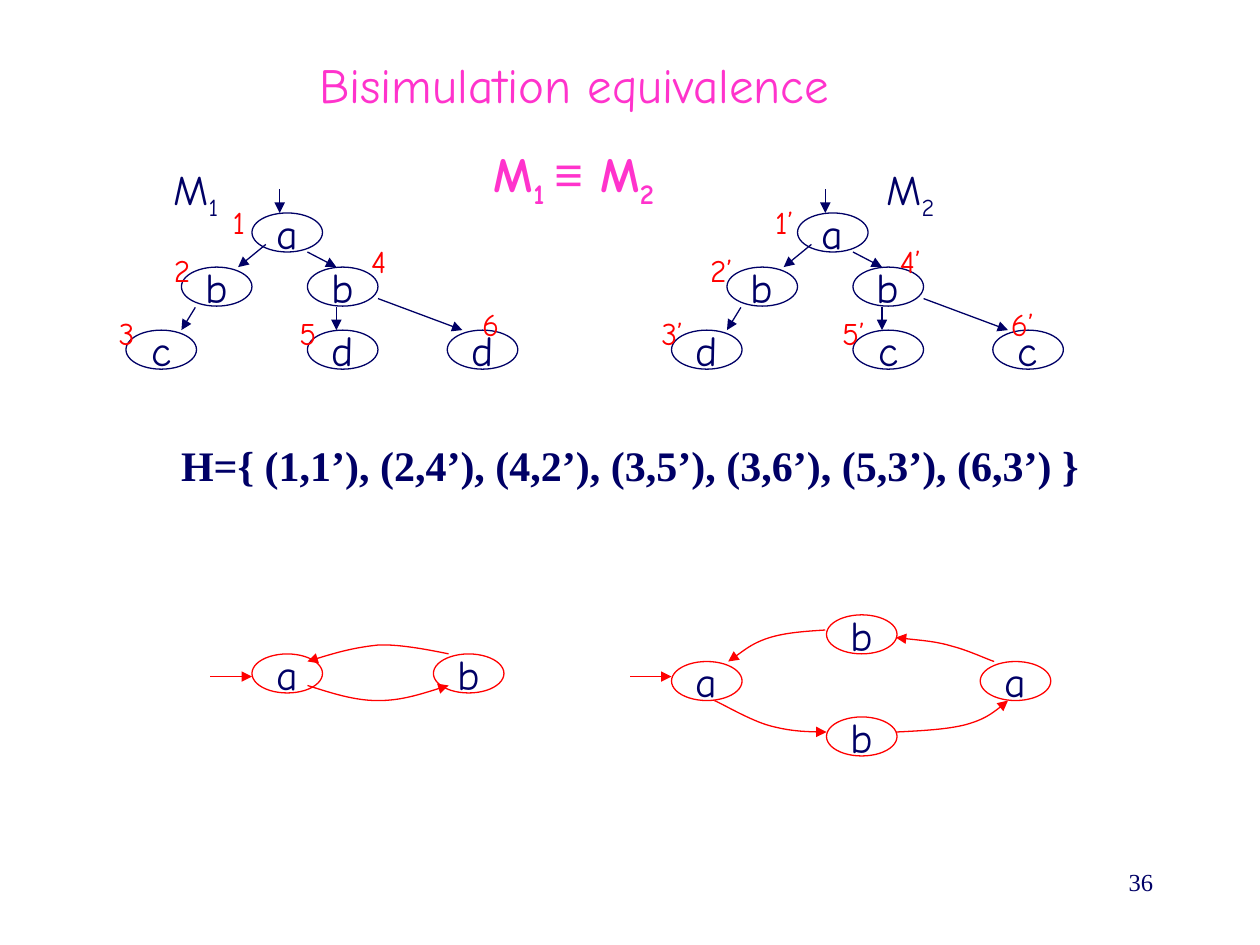
from lxml.etree import SubElement
from pptx import Presentation
from pptx.dml.color import RGBColor
from pptx.enum.shapes import MSO_CONNECTOR, MSO_SHAPE
from pptx.enum.text import MSO_ANCHOR, MSO_AUTO_SIZE, PP_ALIGN
from pptx.oxml.ns import qn
from pptx.util import Inches, Pt

COLORS = {"navy": "000066", "red": "FF0000", "pink": "FF33CC", "white": "FFFFFF"}
HAND_FONT = "Comic Neue"
SERIF_FONT = "Times New Roman"
NODE_WIDTH, NODE_HEIGHT = 0.56, 0.31

TREE_NODES = [(1, 0.44), (0.44, 0.87), (1.44, 0.87), (0, 1.37), (1.44, 1.37), (2.55, 1.37)]
TREE_ARROWS = [
    ((1.22, 0.25), (1.22, 0.44)),
    ((1.11, 0.69), (0.89, 0.87)),
    ((1.44, 0.75), (1.67, 0.87)),
    ((0.55, 1.19), (0.44, 1.37)),
    ((1.67, 1.19), (1.67, 1.37)),
    ((2, 1.12), (2.67, 1.37)),
]
LABEL_TOPS = [0.31, 0.69, 1.19, 0.62, 1.19, 1.12]

TWO_STATES = [("a", 0.33, 0.31), ("b", 1.77, 0.31)]
TWO_STATE_CURVES = [
    [(1.89, 0.31), (1.79, 0.29), (1.51, 0.23), (1.33, 0.24), (1.14, 0.26), (0.96, 0.31), (0.77, 0.37)],
    [(0.77, 0.56), (0.96, 0.62), (1.14, 0.68), (1.33, 0.68), (1.51, 0.68), (1.7, 0.62), (1.89, 0.56)],
]
FOUR_STATES = [("a", 2.78, 0.37), ("a", 0.33, 0.37), ("b", 1.56, 0.81), ("b", 1.56, 0)]
FOUR_STATE_CURVES = [
    [(1.55, 0.12), (1.4, 0.13), (1.24, 0.14), (1.11, 0.18), (0.98, 0.22), (0.88, 0.3), (0.78, 0.37)],
    [(2.89, 0.37), (2.83, 0.35), (2.68, 0.28), (2.56, 0.25), (2.43, 0.21), (2.27, 0.2), (2.11, 0.18)],
    [(0.67, 0.68), (0.74, 0.71), (0.96, 0.84), (1.11, 0.88), (1.26, 0.92), (1.41, 0.93), (1.56, 0.93)],
    [(2.11, 0.93), (2.31, 0.92), (2.52, 0.91), (2.67, 0.87), (2.81, 0.83), (2.91, 0.76), (3, 0.68)],
]


def rgb(name):
    return RGBColor.from_string(COLORS[name])


def write_paragraph(paragraph, text, subscript="", size=24, font=HAND_FONT, color="navy",
                    bold=False, align=PP_ALIGN.CENTER, space_before=0):
    paragraph.alignment = align
    paragraph.space_before = Pt(space_before)
    for content, lowered in ((text, False), (subscript, True)):
        if not content:
            continue
        run = paragraph.add_run()
        run.text = content
        run.font.size = Pt(size)
        run.font.name = font
        run.font.bold = bold
        run.font.color.rgb = rgb(color)
        if lowered:
            run._r.get_or_add_rPr().set("baseline", "-25000")


def add_text_frame(shapes, left, top, width, height, grow=True):
    box = shapes.add_textbox(Inches(left), Inches(top), Inches(width), Inches(height))
    frame = box.text_frame
    frame.word_wrap = True
    if grow:
        frame.auto_size = MSO_AUTO_SIZE.SHAPE_TO_FIT_TEXT
    return frame


def add_text(shapes, left, top, width, height, text, grow=True, **style):
    frame = add_text_frame(shapes, left, top, width, height, grow)
    write_paragraph(frame.paragraphs[0], text, **style)


def style_line(shape, color, arrow=False):
    shape.line.color.rgb = rgb(color)
    shape.line.width = Pt(0.75)
    if arrow:
        SubElement(shape.line._get_or_add_ln(), qn("a:tailEnd"), type="triangle")


def add_node(shapes, left, top, text, color):
    shape = shapes.add_shape(MSO_SHAPE.OVAL, Inches(left), Inches(top),
                             Inches(NODE_WIDTH), Inches(NODE_HEIGHT))
    shape.shadow.inherit = False
    shape.fill.solid()
    shape.fill.fore_color.rgb = rgb("white")
    style_line(shape, color)
    frame = shape.text_frame
    frame.word_wrap = False
    frame.vertical_anchor = MSO_ANCHOR.MIDDLE
    write_paragraph(frame.paragraphs[0], text)


def add_arrow(shapes, left, top, start, end, color):
    connector = shapes.add_connector(
        MSO_CONNECTOR.STRAIGHT, Inches(left + start[0]), Inches(top + start[1]),
        Inches(left + end[0]), Inches(top + end[1]))
    style_line(connector, color, arrow=True)
    SubElement(connector._element.spPr, qn("a:effectLst"))


def add_curved_arrow(shapes, left, top, points, color):
    start, *controls = [(Inches(left + x), Inches(top + y)) for x, y in points]
    builder = shapes.build_freeform(*start)
    builder.add_line_segments(controls, close=False)
    shape = builder.convert_to_shape()
    shape.shadow.inherit = False
    shape.fill.background()
    style_line(shape, color, arrow=True)
    outline = shape._element.find(".//" + qn("a:path"))
    segments = outline.findall(qn("a:lnTo"))
    for index in range(0, len(segments), 3):
        curve = SubElement(outline, qn("a:cubicBezTo"))
        for segment in segments[index:index + 3]:
            curve.append(segment[0])
            outline.remove(segment)


def add_heading(shapes, left, top, width, height):
    frame = add_text_frame(shapes, left, top, width, height)
    style = {"size": 28, "color": "pink", "space_before": 17.5}
    write_paragraph(frame.paragraphs[0], "Bisimulation equivalence", **style)
    paragraph = frame.add_paragraph()
    style["bold"] = True
    write_paragraph(paragraph, "M", subscript="1 ", **style)
    write_paragraph(paragraph, "≡", font="Arial", **style)
    write_paragraph(paragraph, " M", subscript="2", **style)


def add_tree(slide, left, top, letters, number, name_left, labels, label_lefts):
    shapes = slide.shapes.add_group_shape().shapes
    for letter, (x, y) in zip(letters, TREE_NODES):
        add_node(shapes, left + x, top + y, letter, "navy")
    for start, end in TREE_ARROWS:
        add_arrow(shapes, left, top, start, end, "navy")
    for label, x, y in zip(labels, label_lefts, LABEL_TOPS):
        add_text(shapes, left + x, top + y, 0.67, 0.4, label,
                 size=18, color="red", space_before=11.2)
    add_text(shapes, left + name_left, top, 1.11, 0.56, "M", subscript=number, space_before=15)


def add_automaton(slide, left, top, states, curves):
    shapes = slide.shapes.add_group_shape().shapes
    for letter, x, y in states:
        add_node(shapes, left + x, top + y, letter, "red")
    for points in curves:
        add_curved_arrow(shapes, left, top, points, "red")
    add_arrow(shapes, left, top, (0, 0.49), (0.33, 0.49), "red")


def main():
    presentation = Presentation()
    presentation.slide_width = Inches(10)
    presentation.slide_height = Inches(7.5)
    slide = presentation.slides.add_slide(presentation.slide_layouts[6])

    add_text(slide.shapes, 0.53, 3.44, 8.94, 0.5,
             "H={ (1,1’), (2,4’), (4,2’), (3,5’), (3,6’), (5,3’), (6,3’) }",
             font=SERIF_FONT, bold=True, space_before=15)
    add_automaton(slide, 1.67, 4.88, TWO_STATES, TWO_STATE_CURVES)
    add_automaton(slide, 5, 4.88, FOUR_STATES, FOUR_STATE_CURVES)
    add_heading(slide.shapes, 1.11, 0.38, 6.89, 1.34)
    add_tree(slide, 1, 1.25, "abbcdd", "1", 0, "123456",
             [0.56, 0.11, -0.33, 1.67, 1.11, 2.56])
    add_tree(slide, 5.33, 1.25, "abbdcc", "2", 1.34, [f"{digit}’" for digit in "123456"],
             [0.56, 0.06, -0.33, 1.56, 1.11, 2.45])
    add_text(slide.shapes, 7.17, 6.83, 2.08, 0.5, "36", grow=False,
             size=14, font=SERIF_FONT, align=PP_ALIGN.RIGHT)
    presentation.save("out.pptx")


if __name__ == "__main__":
    main()
